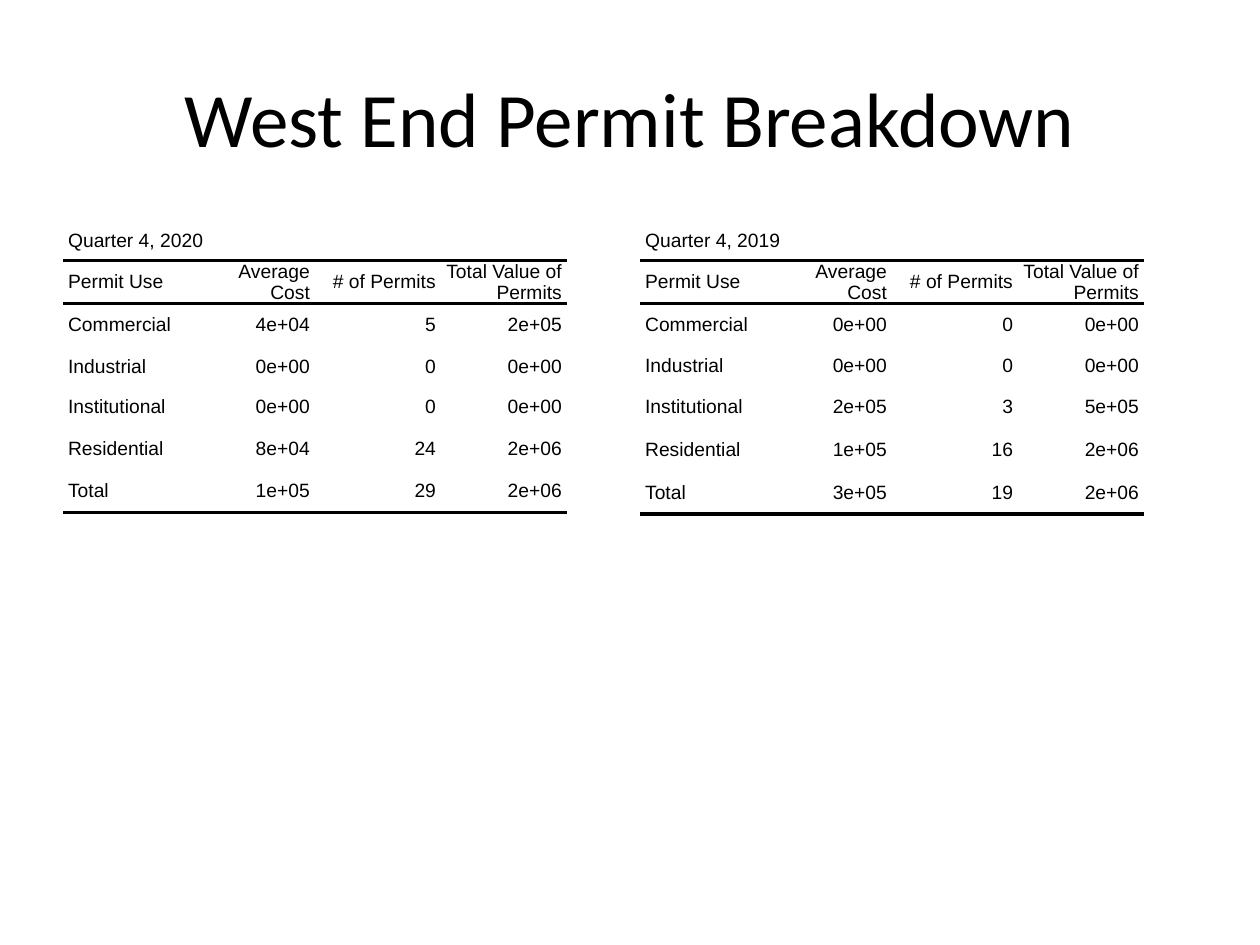
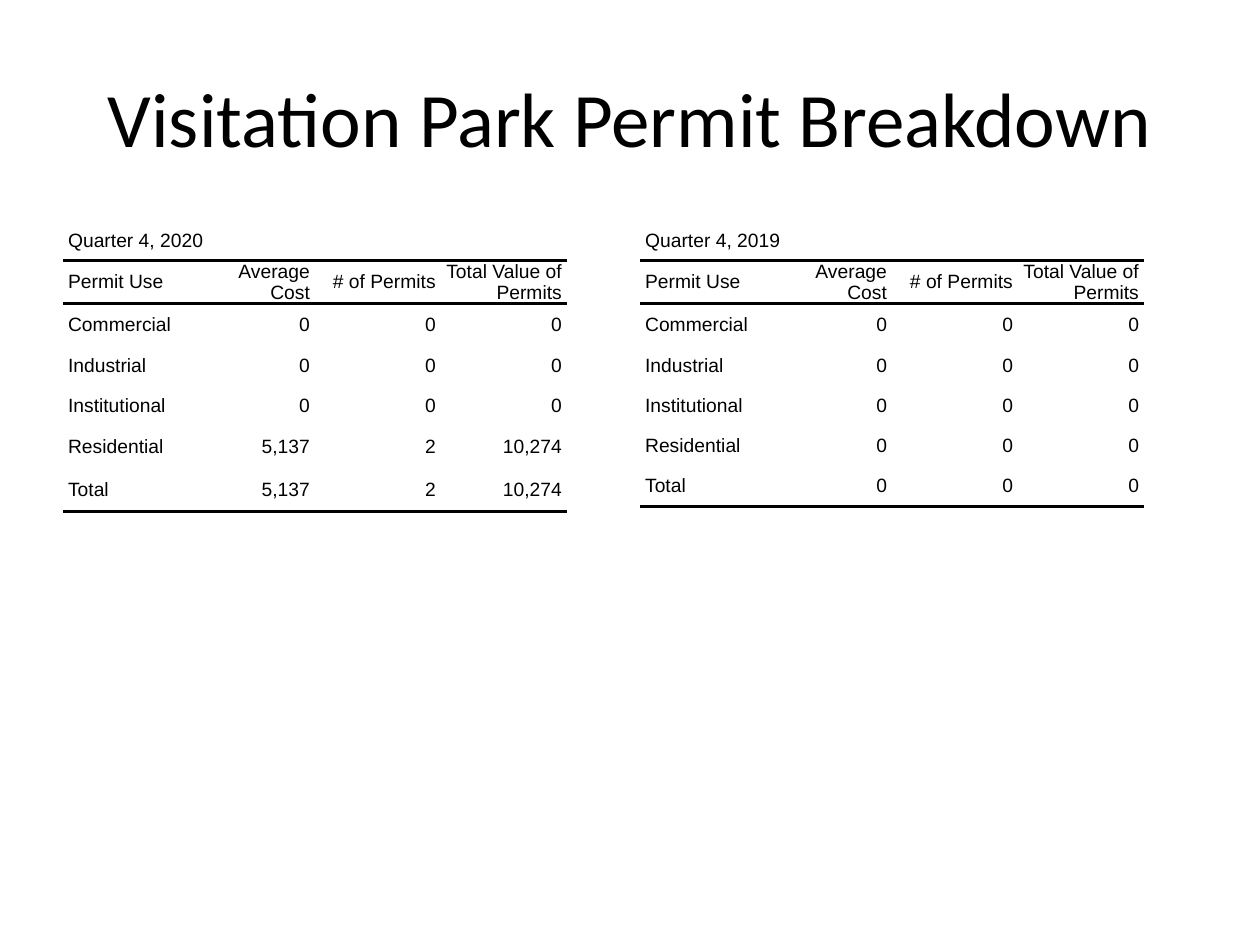
from lxml import etree
from pptx import Presentation
from pptx.dml.color import RGBColor
from pptx.enum.text import MSO_ANCHOR, PP_ALIGN
from pptx.oxml.ns import qn
from pptx.util import Inches, Pt

LEFT, CENTER, RIGHT = PP_ALIGN.LEFT, PP_ALIGN.CENTER, PP_ALIGN.RIGHT
MIDDLE = MSO_ANCHOR.MIDDLE

COLORS = {"text": "000000", "rule": "000000"}
TITLE_FONT, TABLE_FONT = "Calibri", "Arial"
TITLE_ONLY_LAYOUT = 5
PLAIN_TABLE_STYLE = "{2D5ABB26-0587-4C30-8999-92F81FD0307C}"

TITLE_BOX = (0.5, 0.3, 9, 1.25)
TABLE_BOXES = [(0.5, 1.75, 4.42, 4.95), (5.08, 1.75, 4.42, 4.95)]
COLUMN_WIDTH = 1
CELL_INDENT = 0.04
RULE_WIDTH = 2

QUARTERS = ["Quarter 4, 2020", "Quarter 4, 2019"]
HEADERS = ["Permit Use", "Average Cost", "# of Permits", "Total Value of Permits"]
PERMIT_USES = ["Commercial", "Industrial", "Institutional", "Residential", "Total"]
HEADER_ROW = 1
LAST_ROW = HEADER_ROW + len(PERMIT_USES)

NO_COST = ("0e+00", "0", "0e+00")
NO_PERMITS = ("0", "0", "0")
TWO_PERMITS = ("5,137", "2", "10,274")

NEIGHBORHOODS = [
    ("West End Permit Breakdown", [
        [("4e+04", "5", "2e+05"), NO_COST, NO_COST,
         ("8e+04", "24", "2e+06"), ("1e+05", "29", "2e+06")],
        [NO_COST, NO_COST, ("2e+05", "3", "5e+05"),
         ("1e+05", "16", "2e+06"), ("3e+05", "19", "2e+06")],
    ]),
    ("Visitation Park Permit Breakdown", [
        [NO_PERMITS] * 3 + [TWO_PERMITS] * 2,
        [NO_PERMITS] * 5,
    ]),
]


def style_paragraph(paragraph, font_name, size, alignment):
    paragraph.alignment = alignment
    paragraph.font.name = font_name
    paragraph.font.size = Pt(size)
    paragraph.font.color.rgb = RGBColor.from_string(COLORS["text"])


def add_rule(cell, side):
    line = etree.SubElement(cell._tc.get_or_add_tcPr(), qn(f"a:{side}"), w=str(Pt(RULE_WIDTH)))
    fill = etree.SubElement(line, qn("a:solidFill"))
    etree.SubElement(fill, qn("a:srgbClr"), val=COLORS["rule"])


def fill_cell(cell, text, alignment, rules):
    for side in rules:
        add_rule(cell, side)
    cell.fill.background()
    cell.margin_left = cell.margin_right = cell.margin_top = cell.margin_bottom = 0
    cell.vertical_anchor = MIDDLE
    cell.text = text
    paragraph = cell.text_frame.paragraphs[0]
    properties = paragraph._p.get_or_add_pPr()
    for margin in ("marL", "marR"):
        properties.set(margin, str(Inches(CELL_INDENT)))
    style_paragraph(paragraph, TABLE_FONT, 11, alignment)


def rules_for_row(row):
    if row == HEADER_ROW:
        return ["lnT", "lnB"]
    return ["lnB"] if row == LAST_ROW else []


def permit_row_height(index, permit_count):
    if permit_count != "0":
        return 0.34
    return 0.33 if index == 0 else 0.32


def add_permit_table(slide, box, quarter, permits):
    left, top, width, height = map(Inches, box)
    rows = [HEADERS] + [[use, *values] for use, values in zip(PERMIT_USES, permits)]
    frame = slide.shapes.add_table(len(rows) + 1, len(HEADERS), left, top, width, height)
    table = frame.table
    table.first_row = table.horz_banding = False
    table._tbl.tblPr.find(qn("a:tableStyleId")).text = PLAIN_TABLE_STYLE

    for column in table.columns:
        column.width = Inches(COLUMN_WIDTH)
    row_heights = [0.32, 0.32] + [
        permit_row_height(index, values[1]) for index, values in enumerate(permits)
    ]
    for row, row_height in zip(table.rows, row_heights):
        row.height = Inches(row_height)
    frame.width, frame.height = width, height

    table.cell(0, 0).merge(table.cell(0, len(HEADERS) - 1))
    fill_cell(table.cell(0, 0), quarter, LEFT, [])
    for row, texts in enumerate(rows, start=HEADER_ROW):
        for column, text in enumerate(texts):
            alignment = RIGHT if column else LEFT
            fill_cell(table.cell(row, column), text, alignment, rules_for_row(row))


def add_title(slide, box, text):
    title = slide.shapes.title
    title.left, title.top, title.width, title.height = map(Inches, box)
    title.text_frame.text = text
    title.text_frame.vertical_anchor = MIDDLE
    style_paragraph(title.text_frame.paragraphs[0], TITLE_FONT, 44, CENTER)


def add_breakdown_slide(presentation, title, quarterly_permits):
    slide = presentation.slides.add_slide(presentation.slide_layouts[TITLE_ONLY_LAYOUT])
    add_title(slide, TITLE_BOX, title)
    for box, quarter, permits in zip(TABLE_BOXES, QUARTERS, quarterly_permits):
        add_permit_table(slide, box, quarter, permits)


def main():
    presentation = Presentation()
    presentation.slide_width, presentation.slide_height = Inches(10), Inches(7.5)
    for title, quarterly_permits in NEIGHBORHOODS:
        add_breakdown_slide(presentation, title, quarterly_permits)
    presentation.save("out.pptx")


if __name__ == "__main__":
    main()
